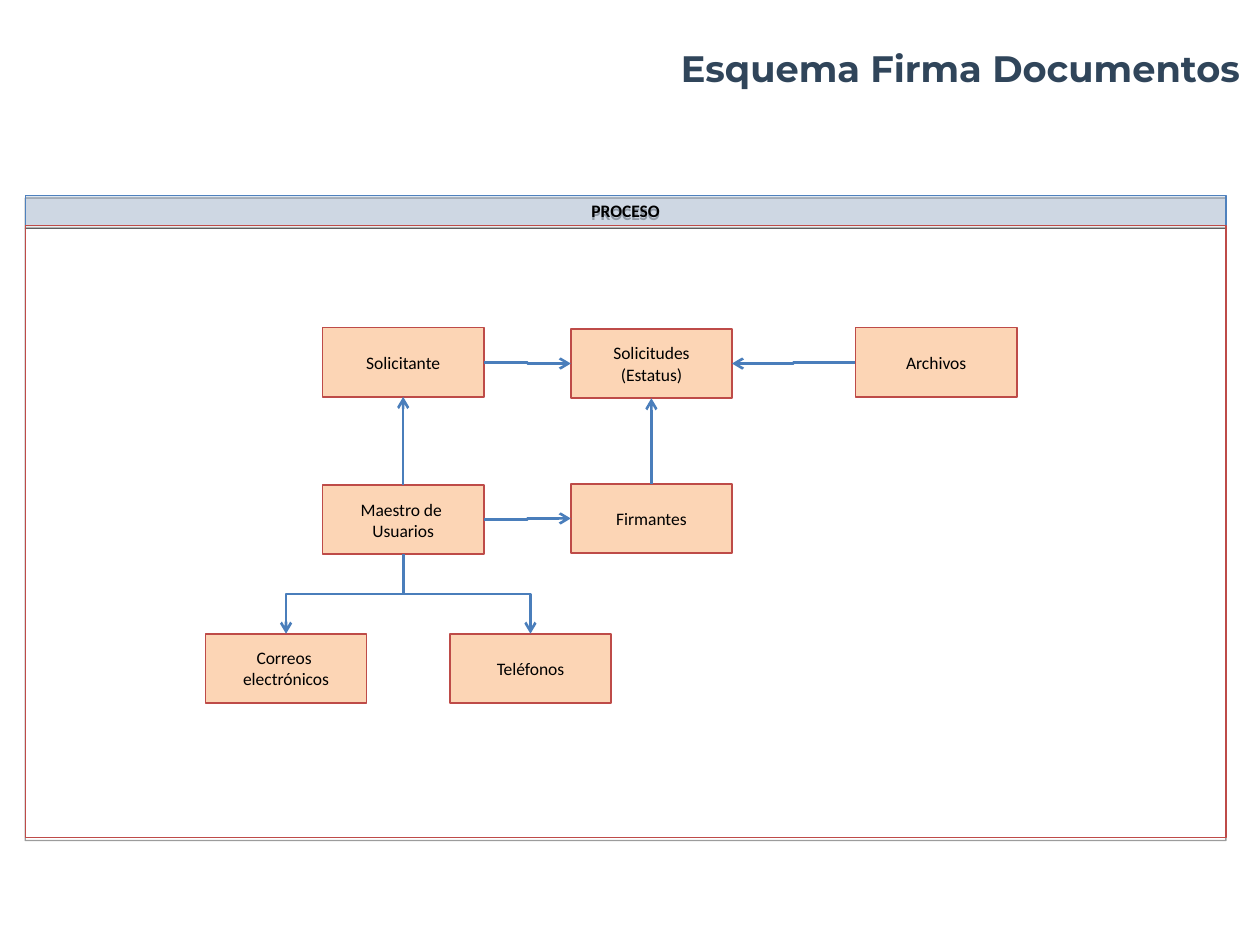
from lxml import etree
from pptx import Presentation
from pptx.dml.color import RGBColor
from pptx.enum import shapes, text
from pptx.oxml.ns import qn
from pptx.util import Inches, Pt

TITLE = "Esquema Firma Documentos"
HEADER = "PROCESO"
BOX_WIDTH, BOX_HEIGHT = 1.28, 0.55
# name: (left, top, lines)
BOXES = {
    "solicitante": (2.56, 2.6, ["Solicitante"]),
    "solicitudes": (4.53, 2.61, ["Solicitudes", "(Estatus)"]),
    "archivos": (6.79, 2.6, ["Archivos"]),
    "maestro": (2.56, 3.85, ["Maestro de ", "Usuarios"]),
    "firmantes": (4.53, 3.84, ["Firmantes"]),
    "correos": (1.63, 5.03, ["Correos ", "electrónicos"]),
    "telefonos": (3.57, 5.03, ["Teléfonos"]),
}
TOP, LEFT, BOTTOM, RIGHT = range(4)
LINKS = [
    ("solicitante", RIGHT, "solicitudes", LEFT),
    ("archivos", LEFT, "solicitudes", RIGHT),
    ("maestro", RIGHT, "firmantes", LEFT),
    ("maestro", TOP, "solicitante", BOTTOM),
    ("firmantes", TOP, "solicitudes", BOTTOM),
    ("maestro", BOTTOM, "correos", TOP),
    ("maestro", BOTTOM, "telefonos", TOP),
]


def color(value):
    return RGBColor.from_string(value)


def add_xml(parent, tag, **attributes):
    child = etree.SubElement(parent, qn(tag))
    for name, value in attributes.items():
        child.set(name, str(value))
    return child


def write(shape, lines, size=10, font="Calibri", fill="000000", bold=False,
          align=text.PP_ALIGN.CENTER, wrap=False):
    frame = shape.text_frame
    frame.word_wrap = wrap
    frame.auto_size = text.MSO_AUTO_SIZE.NONE
    frame.vertical_anchor = text.MSO_ANCHOR.MIDDLE
    frame.text = "\n".join(lines)
    for paragraph in frame.paragraphs:
        paragraph.alignment = align
        style = paragraph.runs[0].font
        style.size, style.name, style.bold = Pt(size), font, bold
        style.color.rgb = color(fill)


def add_rectangle(slide, left, top, width, height, line, fill=None, weight=1):
    shape = slide.shapes.add_shape(shapes.MSO_SHAPE.RECTANGLE, Inches(left),
                                   Inches(top), Inches(width), Inches(height))
    if fill:
        shape.fill.solid()
        shape.fill.fore_color.rgb = color(fill)
    else:
        shape.fill.background()
    shape.line.color.rgb = color(line)
    shape.line.width = Pt(weight)
    shape.shadow.inherit = False
    return shape


def add_shadow(shape):
    effects = shape.element.spPr.find(qn("a:effectLst"))
    shadow = add_xml(effects, "a:outerShdw", blurRad=0, dist=Pt(1.6),
                     dir=90 * 60000, rotWithShape=0)
    add_xml(add_xml(shadow, "a:srgbClr", val="000000"), "a:alpha", val=38000)


def side_point(shape, side):
    """Return the middle of one side of a rectangle."""
    across = {LEFT: 0, RIGHT: 2}.get(side, 1)
    down = {TOP: 0, BOTTOM: 2}.get(side, 1)
    return (shape.left + shape.width * across // 2,
            shape.top + shape.height * down // 2)


def add_link(slide, start, start_side, end, end_side):
    """Join two boxes with an elbow arrow that leaves at right angles."""
    x1, y1 = side_point(start, start_side)
    x2, y2 = side_point(end, end_side)
    connector = slide.shapes.add_connector(shapes.MSO_CONNECTOR.ELBOW, x1, y1, x2, y2)
    connector.begin_connect(start, start_side)
    connector.end_connect(end, end_side)
    if start_side in (TOP, BOTTOM):
        # A vertical exit is a horizontal elbow turned by a quarter.
        width, height = abs(y2 - y1), abs(x2 - x1)
        down = y2 > y1
        connector.left = (x1 + x2 - width) // 2
        connector.top = (y1 + y2 - height) // 2
        connector.width, connector.height = width, height
        frame = connector.element.spPr.find(qn("a:xfrm"))
        frame.set("rot", str((90 if down else 270) * 60000))
        frame.set("flipH", "0")
        frame.set("flipV", "1" if (x2 > x1) == down and x1 != x2 else "0")
    connector.line.color.rgb = color("4A7EBB")
    connector.line.width = Pt(1.5)
    add_xml(connector.line._get_or_add_ln(), "a:tailEnd", type="arrow")
    add_xml(connector.element.spPr, "a:effectLst")


def main():
    presentation = Presentation()
    presentation.slide_width, presentation.slide_height = Inches(10), Inches(7.5)
    slide = presentation.slides.add_slide(presentation.slide_layouts[5])

    title = slide.shapes.title
    title.left, title.top = Inches(2.05), Inches(0.28)
    title.width, title.height = Inches(7.89), Inches(0.51)
    write(title, [TITLE], size=21, font="Montserrat", fill="30455A", bold=True,
          align=text.PP_ALIGN.RIGHT, wrap=True)

    header = add_rectangle(slide, 0.2, 1.55, 9.53, 0.24, "4F81BD", "4F81BD", 0.75)
    fill = header.element.spPr.find(qn("a:solidFill"))
    add_xml(fill[0], "a:alpha", val=19000)
    write(header, [HEADER], bold=True)
    panel = add_rectangle(slide, 0.2, 1.79, 9.53, 4.86, "BE4B48", weight=0.75)
    for shape in (header, panel):
        add_shadow(shape)

    boxes = {}
    for name, (left, top, lines) in BOXES.items():
        boxes[name] = add_rectangle(slide, left, top, BOX_WIDTH, BOX_HEIGHT,
                                    "BE4B48", "FCD5B5")
        write(boxes[name], lines)
    for start, start_side, end, end_side in LINKS:
        add_link(slide, boxes[start], start_side, boxes[end], end_side)

    presentation.save("out.pptx")


if __name__ == "__main__":
    main()
